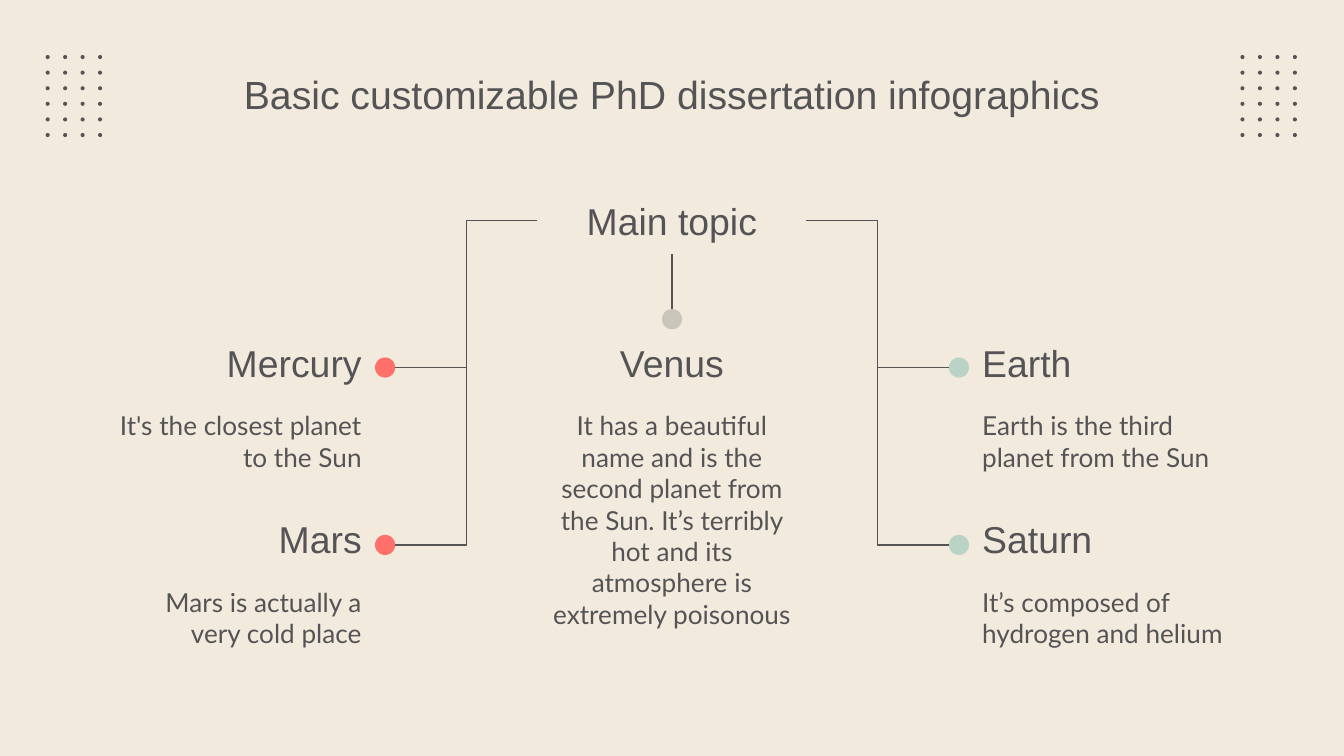
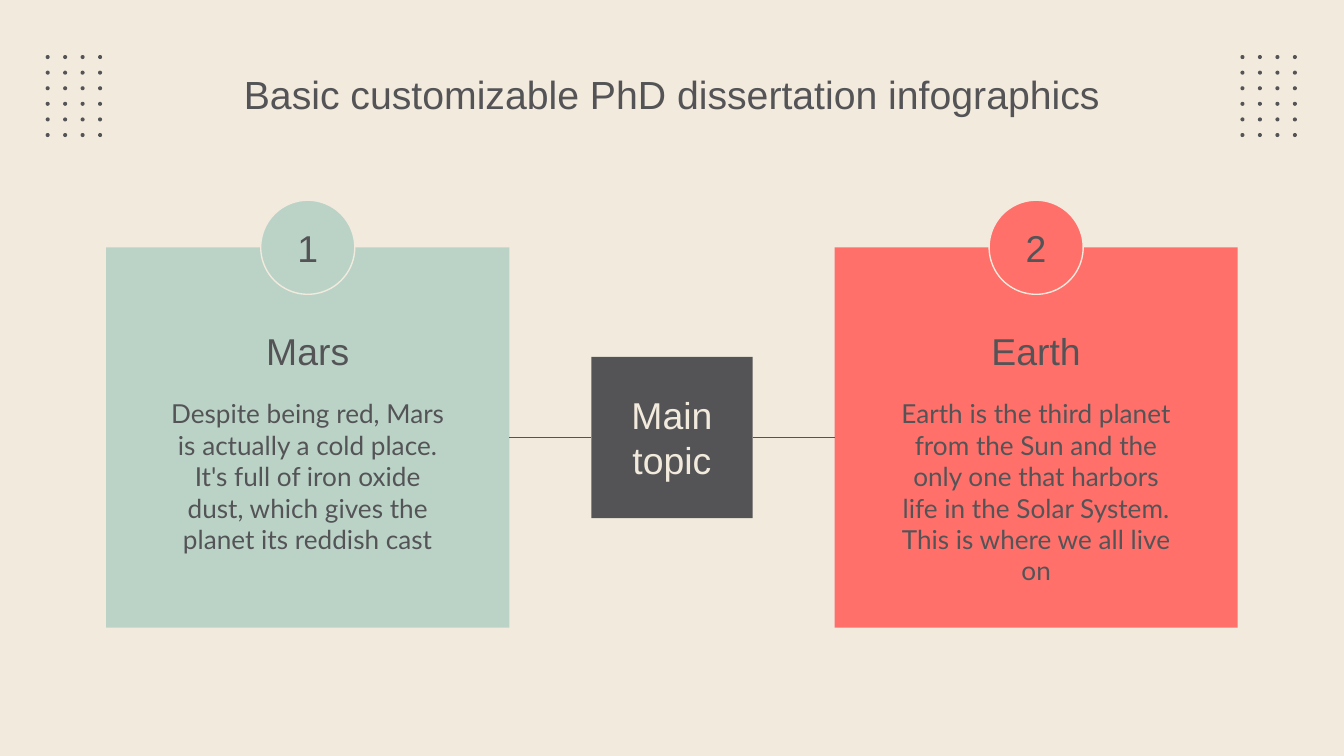
from dataclasses import dataclass

from lxml import etree
from pptx import Presentation
from pptx.dml.color import RGBColor
from pptx.enum.shapes import MSO_CONNECTOR, MSO_SHAPE
from pptx.enum.text import MSO_ANCHOR, PP_ALIGN
from pptx.oxml.ns import qn
from pptx.util import Inches, Pt

LEFT, CENTER, RIGHT = PP_ALIGN.LEFT, PP_ALIGN.CENTER, PP_ALIGN.RIGHT
TOP, MIDDLE = MSO_ANCHOR.TOP, MSO_ANCHOR.MIDDLE
OVAL, RECTANGLE = MSO_SHAPE.OVAL, MSO_SHAPE.RECTANGLE
STRAIGHT, ELBOW = MSO_CONNECTOR.STRAIGHT, MSO_CONNECTOR.ELBOW

# Shared style
CREAM, DARK, CORAL, MINT, GRAY = "F2EADD", "545457", "FF706B", "BBD3C7", "CAC5BC"
HEADING_FONT, BODY_FONT = "Arial", "Lato"
TITLE = "Basic customizable PhD dissertation infographics"
PAGE_WIDTH, MARGIN = 10, 0.79
PAGE_HEIGHT = PAGE_WIDTH * 9 / 16
CENTER_X = PAGE_WIDTH / 2
HEADING_HEIGHT = 0.5
LINE_WIDTH = 0.75


@dataclass(frozen=True)
class Box:
    left: float
    top: float
    width: float
    height: float

    def lengths(self) -> list:
        return [Inches(v) for v in (self.left, self.top, self.width, self.height)]


@dataclass(frozen=True)
class Topic:
    """A heading with a description below it."""
    heading: str
    body: str
    left: float
    top: float
    width: float
    body_height: float
    align: PP_ALIGN = CENTER


@dataclass(frozen=True)
class Card:
    number: str
    color: str
    left: float
    heading: str
    body: str


def color(value: str) -> RGBColor:
    return RGBColor.from_string(value)


def write(holder, text: str, *, size: float = 20, font: str = HEADING_FONT,
          ink: str = DARK, align=CENTER, anchor=MIDDLE, inset_top: float = 0.1) -> None:
    frame = holder.text_frame
    frame.word_wrap = True
    frame.vertical_anchor = anchor
    frame.margin_left = frame.margin_right = frame.margin_bottom = Inches(0.1)
    frame.margin_top = Inches(inset_top)
    para = frame.paragraphs[0]
    para.alignment = align
    span = para.add_run()
    span.text = text
    span.font.size = Pt(size)
    span.font.name = font
    span.font.color.rgb = color(ink)


def add_text(page, box: Box, text: str, **style) -> None:
    write(page.shapes.add_textbox(*box.lengths()), text, **style)


def add_shape(page, kind, box: Box, fill: str, outline: str = ""):
    shape = page.shapes.add_shape(kind, *box.lengths())
    shape.shadow.inherit = False
    shape.fill.solid()
    shape.fill.fore_color.rgb = color(fill)
    if outline:
        shape.line.color.rgb = color(outline)
        shape.line.width = Pt(LINE_WIDTH)
    else:
        shape.line.fill.background()
    return shape


def add_line(page, kind, start: tuple[float, float], end: tuple[float, float]) -> None:
    line = page.shapes.add_connector(kind, *[Inches(v) for v in (*start, *end)])
    line.line.color.rgb = color(DARK)
    line.line.width = Pt(LINE_WIDTH)
    etree.SubElement(line._element.spPr, qn("a:effectLst"))


def add_topic(page, topic: Topic) -> None:
    add_text(page, Box(topic.left, topic.top, topic.width, HEADING_HEIGHT),
             topic.heading, align=topic.align)
    add_text(page, Box(topic.left, topic.top + HEADING_HEIGHT, topic.width, topic.body_height),
             topic.body, size=14, font=BODY_FONT, align=topic.align, anchor=TOP)


def add_page(deck):
    """Blank page with the background, both dot grids and the title."""
    page = deck.slides.add_slide(deck.slide_layouts[6])
    page.background.fill.solid()
    page.background.fill.fore_color.rgb = color(CREAM)
    rows, columns, grid_height = 6, 4, 0.58
    for row in range(rows):
        dot_top = 0.41 + grid_height * row / (rows - 1)
        for grid_left in (0.34, 9.23):
            for column in range(columns):
                dot = Box(grid_left + 0.13 * column, dot_top, 0.03, 0.03)
                add_shape(page, OVAL, dot, DARK)
    add_text(page, Box(MARGIN, 0.4, PAGE_WIDTH - 2 * MARGIN, 0.63), TITLE,
             size=21, inset_top=0.07)
    return page


def add_tree_page(deck) -> None:
    page = add_page(deck)
    width, dot = 2, 0.15
    left, middle, right = MARGIN, CENTER_X - width / 2, PAGE_WIDTH - MARGIN - width
    upper, lower = 2.45, 3.76
    dot_tops = {upper: 2.66, lower: 3.98}

    # Topics
    side_topics = [
        Topic("Mercury", "It's the closest planet to the Sun", left, upper, width, 0.6, RIGHT),
        Topic("Earth", "Earth is the third planet from the Sun", right, upper, width, 0.6, LEFT),
        Topic("Mars", "Mars is actually a very cold place", left, lower, width, 0.6, RIGHT),
        Topic("Saturn", "It’s composed of hydrogen and helium", right, lower, width, 0.6, LEFT),
    ]
    venus = Topic("Venus", "It has a beautiful name and is the second planet from the Sun. "
                  "It’s terribly hot and its atmosphere is extremely poisonous",
                  middle, upper, width, 1.9)
    for topic in [*side_topics, venus]:
        add_topic(page, topic)

    # Main topic and the branches to the dots
    root = Box(middle, 1.39, width, HEADING_HEIGHT)
    add_text(page, root, "Main topic")
    root_y = root.top + root.height / 2
    for topic in side_topics:
        dot_top = dot_tops[topic.top]
        if topic.left == left:
            dot_left, fill = left + width, CORAL
            start_x, end_x = middle, dot_left + dot
        else:
            dot_left, fill = right - dot, MINT
            start_x, end_x = middle + width, dot_left
        add_shape(page, OVAL, Box(dot_left, dot_top, dot, dot), fill)
        add_line(page, ELBOW, (start_x, root_y), (end_x, dot_top + dot / 2))
    venus_dot = Box(CENTER_X - dot / 2, 2.3, dot, dot)
    add_shape(page, OVAL, venus_dot, GRAY)
    add_line(page, STRAIGHT, (CENTER_X, root.top + root.height), (CENTER_X, venus_dot.top))


def add_cards_page(deck) -> None:
    page = add_page(deck)
    width, height, top = 3, 2.83, 1.84
    text_width, badge, hub = 2.3, 0.7, 1.2
    middle_y = top + height / 2
    cards = [
        Card("1", MINT, MARGIN, "Mars",
             "Despite being red, Mars is actually a cold place. It's full of iron oxide dust, "
             "which gives the planet its reddish cast"),
        Card("2", CORAL, PAGE_WIDTH - MARGIN - width, "Earth",
             "Earth is the third planet from the Sun and the only one that harbors life "
             "in the Solar System. This is where we all live on"),
    ]

    # Cards with numbered badges
    for card in cards:
        card_x = card.left + width / 2
        add_shape(page, RECTANGLE, Box(card.left, top, width, height), card.color)
        add_topic(page, Topic(card.heading, card.body, card_x - text_width / 2, 2.36,
                              text_width, 1.3))
        circle = Box(card_x - badge / 2, top - badge / 2, badge, badge)
        write(add_shape(page, OVAL, circle, card.color, CREAM), card.number)

    # Main topic joined to both cards
    hub_left, hub_right = CENTER_X - hub / 2, CENTER_X + hub / 2
    square = add_shape(page, RECTANGLE, Box(hub_left, middle_y - hub / 2, hub, hub), DARK)
    write(square, "Main topic", ink=CREAM)
    add_line(page, STRAIGHT, (cards[0].left + width, middle_y), (hub_left, middle_y))
    add_line(page, STRAIGHT, (hub_right, middle_y), (cards[1].left, middle_y))


def main() -> None:
    deck = Presentation()
    deck.slide_width, deck.slide_height = Inches(PAGE_WIDTH), Inches(PAGE_HEIGHT)
    add_tree_page(deck)
    add_cards_page(deck)
    deck.save("out.pptx")


main()
